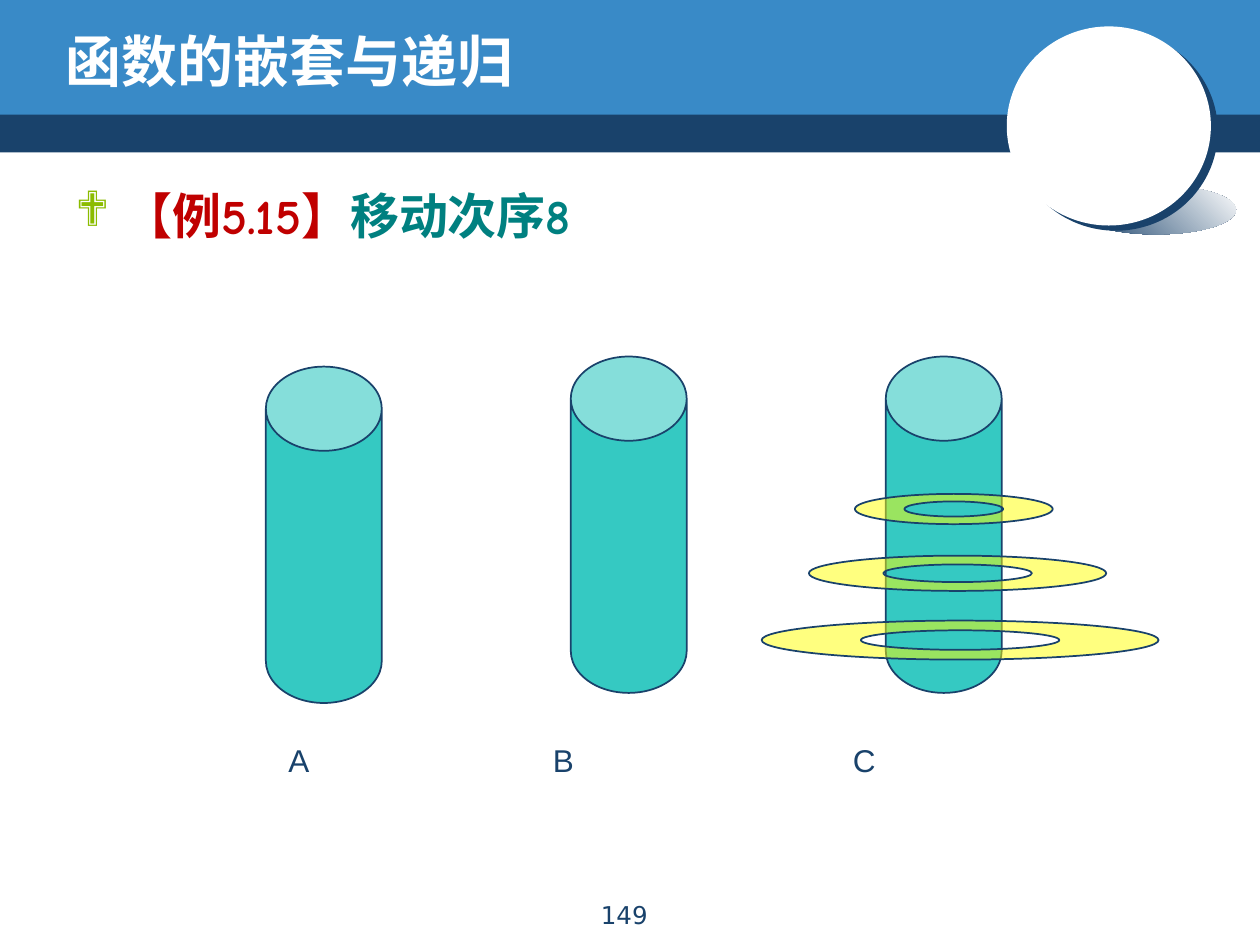
from lxml import etree
from pptx import Presentation
from pptx.dml.color import RGBColor
from pptx.enum.shapes import MSO_SHAPE as Shape
from pptx.enum.text import MSO_ANCHOR as Anchor, PP_ALIGN as Align
from pptx.oxml.ns import qn
from pptx.util import Inches, Pt

NAVY, BLUE, WHITE = "19426B", "398AC7", "FFFFFF"
TURQUOISE, YELLOW = "35C9C2", "FFFF00"
RED, TEAL, GREEN = "C00000", "008080", "8BBC00"
ARC = 0.55  # handle length of a quarter ellipse, as a share of its radius


def color(value):
    return RGBColor.from_string(value)


def add_xml(parent, tag, **attributes):
    return etree.SubElement(parent, qn(tag), attributes)


def style(shape, fill, line=None):
    shape.shadow.inherit = False
    shape.fill.solid()
    shape.fill.fore_color.rgb = color(fill)
    if line:
        shape.line.color.rgb = color(line)
        shape.line.width = Pt(1)
    else:
        shape.line.fill.background()
    return shape


def add_shape(slide, kind, box, fill, line=None):
    shape = slide.shapes.add_shape(kind, *map(Inches, box))
    return style(shape, fill, line)


def add_text(slide, box, runs, anchor=Anchor.TOP, align=Align.LEFT):
    """Place one paragraph made of (text, font values) runs."""
    frame = slide.shapes.add_textbox(*map(Inches, box)).text_frame
    frame.word_wrap = True
    frame.vertical_anchor = anchor
    paragraph = frame.paragraphs[0]
    paragraph.alignment = align
    for text, values in runs:
        run = paragraph.add_run()
        run.text = text
        for name, value in values.items():
            if name == "color":
                run.font.color.rgb = color(value)
            else:
                setattr(run.font, name, value)
    return paragraph


def heading_font(size, fill):
    return {"name": "Comic Neue", "size": Pt(size), "bold": True, "color": fill}


def add_header(slide, left, top, width):
    # Two bands and the title
    add_shape(slide, Shape.RECTANGLE, (left, top + 0.87, width, 0.34), NAVY)
    add_shape(slide, Shape.RECTANGLE, (left, top, width, 0.91), BLUE)
    add_text(slide, (left + 0.42, top + 0.17, 8.08, 0.62),
             [("函数的嵌套与递归", heading_font(32, WHITE))], Anchor.MIDDLE)


def add_ball(slide, left, top):
    # Cast shade on the ground
    shade = add_shape(slide, Shape.OVAL, (left + 0.55, top + 1.26, 1.27, 0.39), NAVY)
    shade.fill.gradient()
    shade.fill.gradient_angle = 45
    for stop, value in zip(shade.fill.gradient_stops, (NAVY, WHITE)):
        stop.color.rgb = color(value)
    # Ball with a hard shadow, then its highlight
    ball = add_shape(slide, Shape.OVAL, (left, top, 1.62, 1.58), WHITE)
    effects = ball._element.spPr.find(qn("a:effectLst"))
    shadow = add_xml(effects, "a:outerShdw", blurRad="0", dist=str(Pt(5)),
                     dir=str(37 * 60000), algn="ctr", rotWithShape="0")
    add_xml(shadow, "a:srgbClr", val=NAVY)
    add_shape(slide, Shape.OVAL, (left + 0.55, top + 0.47, 0.57, 0.59), WHITE)


def add_example(slide, box):
    paragraph = add_text(slide, box, [("【例5.15】", heading_font(28, RED)),
                                      ("移动次序8", heading_font(28, TEAL))])
    properties = paragraph._p.get_or_add_pPr()
    properties.set("marL", str(Inches(0.38)))
    properties.set("indent", str(Inches(-0.38)))
    add_xml(add_xml(properties, "a:buClr"), "a:srgbClr", val=GREEN)
    add_xml(properties, "a:buFont", typeface="Wingdings", charset="2")
    add_xml(properties, "a:buChar", char="❖")


def add_ellipse_outline(path, width, height, scale, turn):
    """Add a closed ellipse of four curves, centred in the path's box."""
    def add_point(parent, x, y):
        add_xml(parent, "a:pt", x=str(round(width / 2 * (1 + scale * x))),
                y=str(round(height / 2 * (1 + scale * y * turn))))

    add_point(add_xml(path, "a:moveTo"), -1, 0)
    x, y = -1, 0
    for _ in range(4):
        next_x, next_y = -y, x
        curve = add_xml(path, "a:cubicBezTo")
        add_point(curve, x + ARC * next_x, y + ARC * next_y)
        add_point(curve, next_x + ARC * x, next_y + ARC * y)
        add_point(curve, next_x, next_y)
        x, y = next_x, next_y
    add_xml(path, "a:close")


def add_ring(slide, center_x, center_y, width, height):
    """A flat disk whose hole is half as wide and half as high."""
    left, top = Inches(center_x - width / 2), Inches(center_y - height / 2)
    width, height = Inches(width), Inches(height)
    builder = slide.shapes.build_freeform(left, top)
    builder.add_line_segments([(left + width, top + height)])
    ring = style(builder.convert_to_shape(), YELLOW, NAVY)
    # Swap the diagonal for two curved outlines
    path = next(ring._element.iter(qn("a:path")))
    for child in list(path):
        path.remove(child)
    add_ellipse_outline(path, width, height, 1, 1)
    add_ellipse_outline(path, width, height, 0.5, -1)
    fill = ring._element.spPr.find(qn("a:solidFill"))
    add_xml(fill[0], "a:alpha", val="50000")


def add_towers(slide, left, top):
    # Pegs
    for x, y in ((0, 0.08), (2.42, 0), (4.92, 0)):
        peg = add_shape(slide, Shape.CAN, (left + x, top + y, 0.92, 2.67), TURQUOISE, NAVY)
        peg.adjustments[0] = 0.727
    # Disks on the last peg, smallest on top
    for x, y, width, height in ((5.46, 1.21, 1.57, 0.24),
                                (5.49, 1.72, 2.36, 0.28),
                                (5.51, 2.25, 3.15, 0.31)):
        add_ring(slide, left + x, top + y, width, height)
    # Peg names, spaced with tab stops
    label_font = {"name": "Arial", "size": Pt(18), "color": NAVY}
    paragraph = add_text(slide, (left + 0.08, top + 3, 6, 0.5), [("A\tB\tC", label_font)])
    tabs = add_xml(paragraph._p.get_or_add_pPr(), "a:tabLst")
    for position in (2.1, 4.48):
        add_xml(tabs, "a:tab", pos=str(Inches(position)), algn="l")


def add_page_number(slide, box):
    font = {"name": "DejaVu Sans", "size": Pt(14), "color": NAVY}
    add_text(slide, box, [("149", font)], align=Align.CENTER)


def main():
    presentation = Presentation()
    presentation.slide_width = Inches(10)
    presentation.slide_height = Inches(7.5)
    slide = presentation.slides.add_slide(presentation.slide_layouts[6])
    add_header(slide, 0, 0, 10)
    add_ball(slide, 7.99, 0.21)
    add_example(slide, (0.5, 1.42, 8.92, 0.61))
    add_page_number(slide, (4.05, 7.09, 1.81, 0.32))
    add_towers(slide, 2.11, 2.83)
    presentation.save("out.pptx")


if __name__ == "__main__":
    main()
